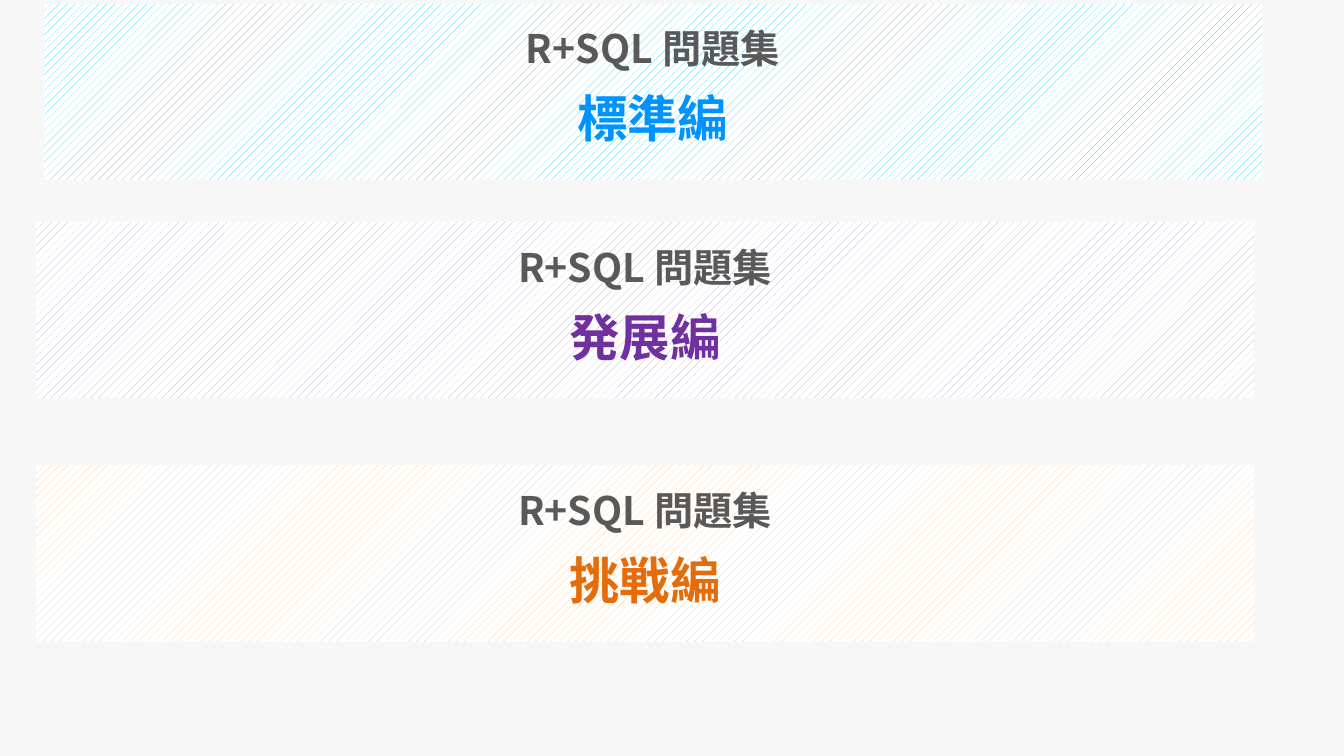
from pptx import Presentation
from pptx.dml.color import RGBColor
from pptx.enum.dml import MSO_PATTERN
from pptx.enum.shapes import MSO_SHAPE
from pptx.enum.text import MSO_ANCHOR, MSO_AUTO_SIZE, PP_ALIGN
from pptx.oxml.ns import qn
from pptx.util import Inches, Pt
from lxml.etree import SubElement

FONT = "Noto Sans CJK JP"
COLORS = {
    "page": "F7F7F7", "white": "FFFFFF", "series": "595959",
    "blue": "0092FF", "blue_dots": "2EC2ED",
    "purple": "7030A0", "purple_dots": "B3A2C7",
    "orange": "E46C0A", "orange_dots": "FAC090",
}
SERIES = "R+SQL 問題集"
# level, colour name, band left, band top
BANNERS = [
    ("標準編", "blue", 0.62, 0.05),
    ("発展編", "purple", 0.51, 3.12),
    ("挑戦編", "orange", 0.51, 6.54),
]
BAND_SIZE = (17.13, 2.48)
TEXT_SIZE = (4.94, 1.05)
TEXT_INDENT = 6.09
SERIES_DROP, LEVEL_DROP = 0.1, 1.08


def color(name):
    return RGBColor.from_string(COLORS[name])


def add_band(page, left, top, dots):
    band = page.shapes.add_shape(
        MSO_SHAPE.RECTANGLE, *map(Inches, (left, top, *BAND_SIZE)))
    band.shadow.inherit = False
    band.line.fill.background()
    band.fill.patterned()
    band.fill.pattern = MSO_PATTERN.PERCENT_10
    band.fill.fore_color.rgb = color(dots)
    band.fill.back_color.rgb = color("white")


def set_heading(box, left, top, text, size, color_name):
    """Place a box and fill it with one centred bold line."""
    box.left, box.top, box.width, box.height = map(
        Inches, (left, top, *TEXT_SIZE))
    frame = box.text_frame
    frame.word_wrap = True
    frame.auto_size = MSO_AUTO_SIZE.NONE
    frame.vertical_anchor = MSO_ANCHOR.MIDDLE
    frame.margin_left = frame.margin_right = 0
    frame.margin_top = frame.margin_bottom = 0
    para = frame.paragraphs[0]
    para.alignment = PP_ALIGN.CENTER
    span = para.add_run()
    span.text = text
    font = span.font
    font.name, font.size, font.bold = FONT, Pt(size), True
    font.color.rgb = color(color_name)
    SubElement(span._r.get_or_add_rPr(), qn("a:ea"), typeface=FONT)


def main():
    deck = Presentation()
    deck.slide_width, deck.slide_height = Inches(18.9), Inches(10.63)
    page = deck.slides.add_slide(deck.slide_layouts[5])
    page.background.fill.solid()
    page.background.fill.fore_color.rgb = color("page")

    title = page.shapes.title
    for index, (level, hue, left, top) in enumerate(BANNERS):
        add_band(page, left, top, f"{hue}_dots")
        text_left = left + TEXT_INDENT
        level_box = page.shapes.add_textbox(0, 0, 0, 0)
        set_heading(level_box, text_left, top + LEVEL_DROP, level, 51, hue)
        if index == 0:
            series_box = title
            title._element.getparent().append(title._element)  # above the band
        else:
            series_box = page.shapes.add_textbox(0, 0, 0, 0)
        set_heading(series_box, text_left, top + SERIES_DROP,
                    SERIES, 39.7, "series")

    deck.save("out.pptx")


if __name__ == "__main__":
    main()
